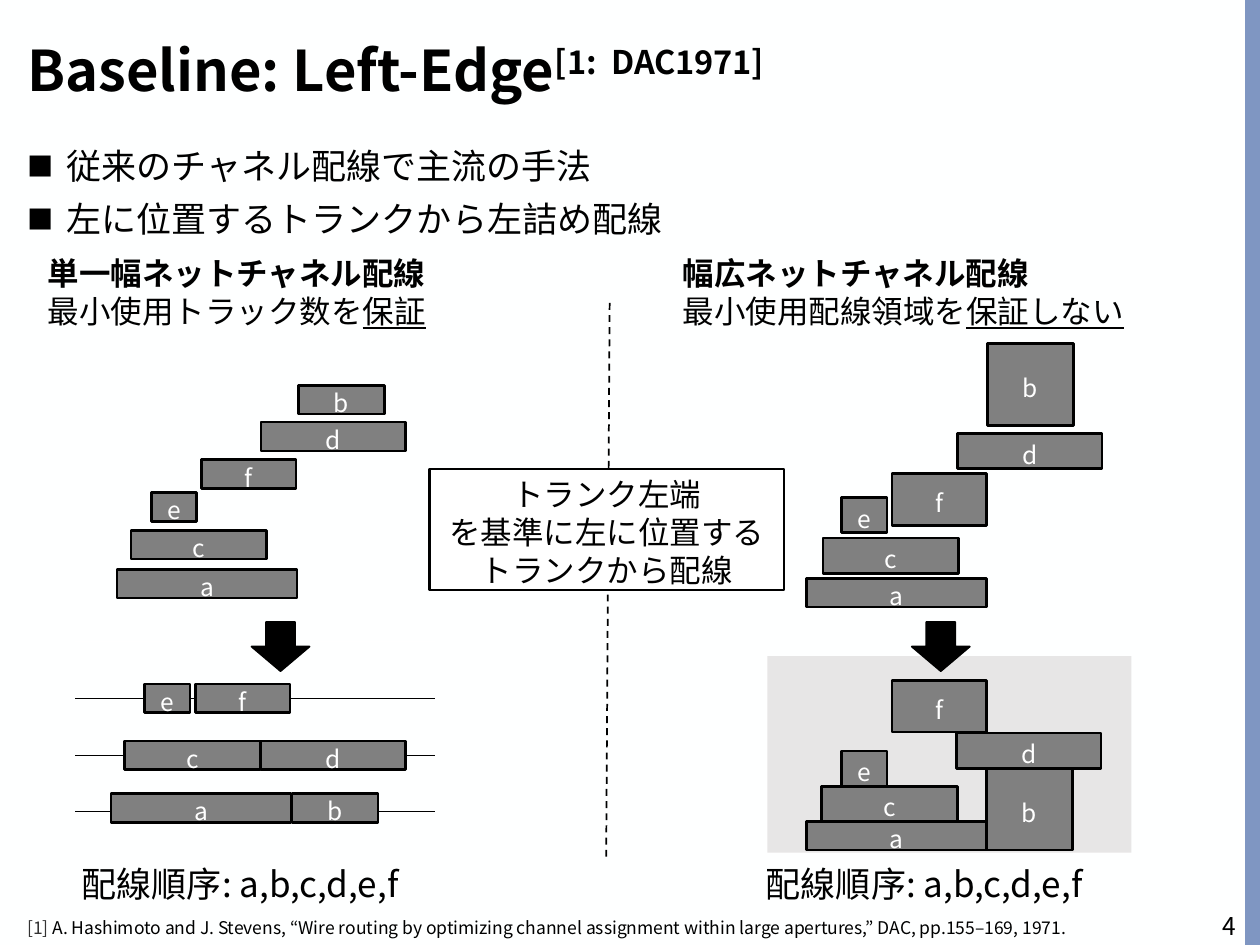
"""Build the slide on left-edge channel routing."""
import pptx
import pptx.dml.color
import pptx.enum.dml
import pptx.enum.shapes
import pptx.enum.text
import pptx.oxml
import pptx.oxml.ns
import pptx.util

Cm = pptx.util.Cm
Pt = pptx.util.Pt
RGB = pptx.dml.color.RGBColor
Align = pptx.enum.text.PP_ALIGN
Anchor = pptx.enum.text.MSO_ANCHOR
Shape = pptx.enum.shapes.MSO_SHAPE

BLACK = RGB(0x00, 0x00, 0x00)
WHITE = RGB(0xFF, 0xFF, 0xFF)
PAPER = RGB(0xFE, 0xFF, 0xFF)
GRAY = RGB(0x80, 0x80, 0x80)
SILVER = RGB(0xE7, 0xE6, 0xE6)
BLUE = RGB(0x7F, 0x96, 0xC2)
DARK = RGB(0x33, 0x33, 0x33)

WIDTHS = {"a": 3.63, "b": 1.73, "c": 2.74, "d": 2.92, "e": 0.91, "f": 1.91}
THIN = dict.fromkeys(WIDTHS, 0.58)
THICK = {"a": 0.58, "b": 1.65, "c": 0.71, "d": 0.71, "e": 0.71, "f": 1.04}

LEFT_STAIRS = {"a": (2.36, 11.48), "b": (6.02, 7.77), "c": (2.64, 10.69),
               "d": (5.26, 8.51), "e": (3.05, 9.93), "f": (4.06, 9.27)}
LEFT_PACKED = {"a": (2.24, 16), "b": (5.89, 16), "c": (2.51, 14.94),
               "d": (5.26, 14.94), "e": (2.92, 13.79), "f": (3.94, 13.79)}
RIGHT_STAIRS = {"a": (16.26, 11.66), "b": (19.91, 6.93), "c": (16.59, 10.85),
                "d": (19.3, 8.74), "e": (16.97, 10.03), "f": (17.98, 9.55)}
RIGHT_PACKED = {"a": (16.26, 16.56), "b": (19.89, 15.49), "c": (16.56, 15.85),
                "d": (19.28, 14.78), "e": (16.97, 15.14), "f": (17.98, 13.72)}


def node(xml):
    """Parse one drawing element."""
    return pptx.oxml.parse_xml(xml.replace(" ", f" {pptx.oxml.ns.nsdecls('a')} ", 1))


class Slide:
    """Hold the text style and the current slide."""

    font = "Noto Sans CJK JP"

    def __init__(self, deck):
        """Add a blank slide to the deck."""
        self.page = deck.slides.add_slide(deck.slide_layouts[6])
        self.shapes = self.page.shapes
        fill = self.page.background.fill
        fill.solid()
        fill.fore_color.rgb = PAPER

    def label(self, frame, lines, size, color=BLACK, align=Align.LEFT):
        """Fill a frame with lines, each a list of (text, style) runs."""
        for i, line in enumerate(lines):
            para = frame.paragraphs[0] if i == 0 else frame.add_paragraph()
            para.alignment = align
            for text, style in line:
                run = para.add_run()
                run.text = text
                font = run.font
                font.name, font.size = self.font, Pt(size)
                font.bold = style.get("bold", False)
                font.underline = style.get("under", False)
                font.color.rgb = style.get("color", color)
                props = run._r.get_or_add_rPr()
                props.append(node(f'<a:ea typeface="{self.font}"/>'))
                if "raise" in style:
                    props.set("baseline", str(style["raise"] * 1000))

    def text(self, box, lines, size, wrap=True, **style):
        """Add a text box and return its frame."""
        frame = self.shapes.add_textbox(*map(Cm, box)).text_frame
        frame.word_wrap = wrap
        self.label(frame, lines, size, **style)
        return frame

    def bullets(self, box, lines, size):
        """Add a list with square bullets."""
        frame = self.text(box, lines, size)
        for para in frame.paragraphs:
            para.space_before = Pt(6)
            props = para._p.get_or_add_pPr()
            props.set("marL", str(Cm(0.79)))
            props.set("indent", str(-Cm(0.79)))
            for xml in ('<a:buClr ><a:srgbClr val="000000"/></a:buClr>',
                        '<a:buSzPct val="75000"/>',
                        f'<a:buFont typeface="{self.font}"/>',
                        '<a:buChar char="■"/>'):
                props.append(node(xml))

    def shape(self, box, fill, line=None, kind=Shape.RECTANGLE):
        """Add a flat shape, with a black outline if a width is given."""
        item = self.shapes.add_shape(kind, *map(Cm, box))
        item.shadow.inherit = False
        item.fill.solid()
        item.fill.fore_color.rgb = fill
        if line:
            item.line.color.rgb = BLACK
            item.line.width = Pt(line)
        else:
            item.line.fill.background()
        frame = item.text_frame
        frame.word_wrap = True
        frame.margin_bottom = 0
        return item

    def blocks(self, spots, heights):
        """Add one labelled trunk per spot."""
        for name, (x, y) in spots.items():
            item = self.shape((x, y, WIDTHS[name], heights[name]), GRAY, 1.5)
            item.text_frame.vertical_anchor = Anchor.MIDDLE
            self.label(item.text_frame, [[(name, {})]], 14, WHITE, Align.CENTER)

    def arrow(self, x, y):
        """Add a block arrow that points down."""
        self.shape((x, y, 0.99, 1.17), BLACK, 1, Shape.RIGHT_ARROW).rotation = 90

    def dash(self, start, end):
        """Add a dashed line."""
        line = self.shapes.add_connector(
            pptx.enum.shapes.MSO_CONNECTOR.STRAIGHT, *map(Cm, start + end))
        line.line.color.rgb = BLACK
        line.line.width = Pt(1)
        line.line.dash_style = pptx.enum.dml.MSO_LINE.DASH
        line._element.spPr.append(node("<a:effectLst />"))

    def tracks(self, box, count):
        """Add a table whose row borders are the tracks."""
        table = self.shapes.add_table(count, 1, *map(Cm, box)).table
        table.first_row = table.horz_banding = False
        for i, cell in enumerate(table.iter_cells()):
            cell.margin_top = cell.margin_bottom = 0
            props = cell._tc.get_or_add_tcPr()
            for side in "LR":
                props.append(node(f'<a:ln{side} w="0"><a:noFill/></a:ln{side}>'))
            for side, color in (("T", BLACK if i else WHITE), ("B", BLACK)):
                props.append(node(
                    f'<a:ln{side} w="{Pt(0.25)}"><a:solidFill><a:srgbClr '
                    f'val="{color}"/></a:solidFill></a:ln{side}>'))
            cell.fill.background()


def main():
    """Draw the slide and save it."""
    deck = pptx.Presentation()
    deck.slide_width, deck.slide_height = Cm(25.4), Cm(19.05)
    slide = Slide(deck)
    bold = {"bold": True}
    under = {"under": True}

    slide.shape((25.1, 0, 0.3, 19.05), BLUE)
    title = slide.text((0.3, 0.74, 18.75, 1.45), [[
        ("Baseline: Left-Edge", bold),
        ("[1:  DAC1971]", {"bold": True, "raise": 30})]], 32)
    title.paragraphs[0].line_spacing = 0.9
    number = slide.text((23.93, 18.16, 1.24, 1.02), [[("4", {})]], 14,
                        align=Align.RIGHT)
    number.vertical_anchor = Anchor.MIDDLE
    slide.bullets((0.3, 2.79, 24.21, 2.41), [
        [("従来のチャネル配線で主流の手法", {})],
        [("左に位置するトランクから左詰め配線", {})]], 20)

    slide.tracks((1.52, 12.93, 7.24, 3.43), 3)
    slide.dash((12.22, 17.27), (12.29, 6.07))
    slide.shape((15.47, 13.23, 7.34, 3.96), SILVER)

    for x, width, head, lead, claim in (
            (0.71, 9.91, "単一幅ネットチャネル配線", "最小使用トラック数を", "保証"),
            (13.51, 10.8, "幅広ネットチャネル配線", "最小使用配線領域を", "保証しない")):
        slide.text((x, 5, width, 1.8),
                   [[(head, bold)], [(lead, {}), (claim, under)]], 18)
    for spots, heights in ((LEFT_STAIRS, THIN), (LEFT_PACKED, THIN),
                           (RIGHT_STAIRS, THICK), (RIGHT_PACKED, THICK)):
        slide.blocks(spots, heights)
    for x in (5.16, 18.47):
        slide.arrow(x, 12.45)
    for x in (1.4, 15.19):
        slide.text((x, 17.27, 7.44, 1.12),
                   [[("配線順序: a,b,c,d,e,f", {})]], 20, wrap=False)

    rule = slide.shape((8.66, 9.45, 7.14, 2.44), WHITE, 1.25)
    rule.text_frame.vertical_anchor = Anchor.TOP
    slide.label(rule.text_frame, [
        [("トランク左端", {})],
        [("を基準に左に位置するトランクから配線", {})]], 18, align=Align.CENTER)
    slide.text((0.3, 18.36, 24.21, 0.69), [[
        ("[1] ", {"color": DARK}),
        ("A. Hashimoto and J. Stevens, “Wire routing by optimizing channel "
         "assignment within large apertures,” DAC, pp.155–169, 1971.", {})]], 10)
    deck.save("out.pptx")


if __name__ == "__main__":
    main()
